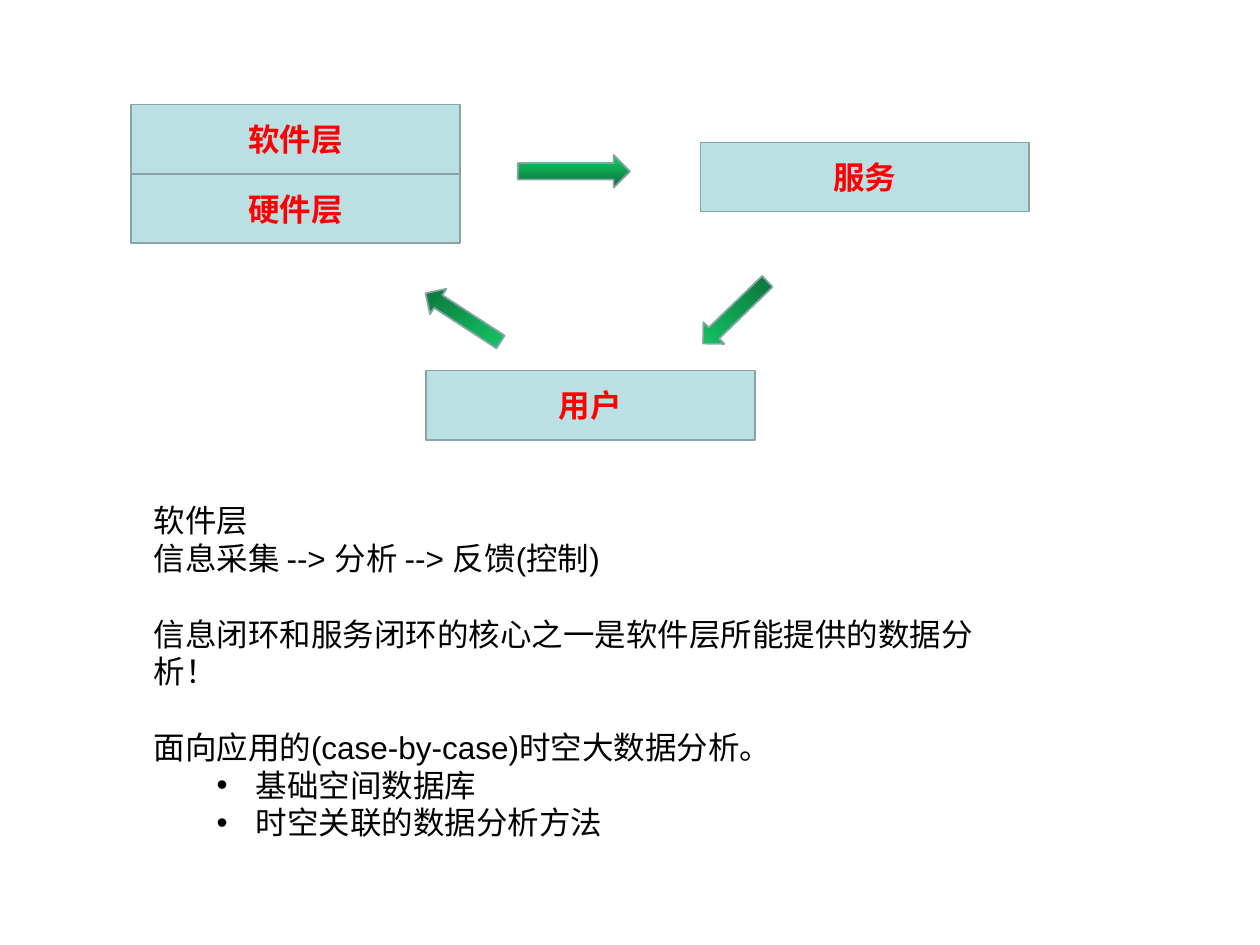
from dataclasses import dataclass

from lxml import etree
from pptx import Presentation
from pptx.dml.color import RGBColor
from pptx.enum.shapes import MSO_SHAPE
from pptx.enum.text import MSO_ANCHOR, MSO_AUTO_SIZE, PP_ALIGN
from pptx.oxml.ns import qn
from pptx.util import Inches, Pt

RECTANGLE = MSO_SHAPE.RECTANGLE
RIGHT_ARROW = MSO_SHAPE.RIGHT_ARROW
CENTER = PP_ALIGN.CENTER
LEFT = PP_ALIGN.LEFT
MIDDLE = MSO_ANCHOR.MIDDLE
TOP = MSO_ANCHOR.TOP
FIT_SHAPE = MSO_AUTO_SIZE.SHAPE_TO_FIT_TEXT
BLANK_LAYOUT = 6


@dataclass(frozen=True)
class Theme:
    font: str = "Arial"
    size: Pt = Pt(18)
    group_gap: Pt = Pt(21.5)
    line_width: Pt = Pt(1)
    box_fill: RGBColor = RGBColor(0xBB, 0xE0, 0xE3)
    outline: RGBColor = RGBColor(0x89, 0xA4, 0xA7)
    label: RGBColor = RGBColor(0xFF, 0x00, 0x00)
    body: RGBColor = RGBColor(0x00, 0x00, 0x00)
    arrow_light: RGBColor = RGBColor(0x14, 0xCD, 0x68)
    arrow_dark: RGBColor = RGBColor(0x0B, 0x6E, 0x38)


THEME = Theme()

BOX_WIDTH, BOX_HEIGHT = 2.61, 0.55
# Label, left and top within the loop diagram
LOOP_BOXES = [
    ("硬件层", 0, 0.55),
    ("软件层", 0, 0),
    ("用户", 2.34, 2.11),
    ("服务", 4.52, 0.3),
]
# Left, top, width, height, rotation and clockwise gradient direction
LOOP_ARROWS = [
    (3.07, 0.4, 0.89, 0.26, 0, 90),
    (4.44, 1.53, 0.71, 0.24, 136, 314),
    (2.28, 1.57, 0.71, 0.24, 213, 237),
]
# Each group holds its lines and its bulleted lines
NOTE_GROUPS = [
    (["软件层", "信息采集 --> 分析 --> 反馈(控制)"], []),
    (["信息闭环和服务闭环的核心之一是软件层所能提供的数据分析！"], []),
    (["面向应用的(case-by-case)时空大数据分析。"],
     ["基础空间数据库", "时空关联的数据分析方法"]),
]


def set_font(paragraph, color, bold=False):
    font = paragraph.font
    font.name = THEME.font
    font.size = THEME.size
    font.bold = bold
    font.color.rgb = color


def add_outlined(slide, preset, left, top, width, height):
    shape = slide.shapes.add_shape(
        preset, Inches(left), Inches(top), Inches(width), Inches(height))
    shape.shadow.inherit = False
    shape.line.color.rgb = THEME.outline
    shape.line.width = THEME.line_width
    return shape


def add_loop_box(slide, label, left, top):
    box = add_outlined(slide, RECTANGLE, left, top, BOX_WIDTH, BOX_HEIGHT)
    box.fill.solid()
    box.fill.fore_color.rgb = THEME.box_fill
    box.text_frame.vertical_anchor = MIDDLE
    paragraph = box.text_frame.paragraphs[0]
    paragraph.text = label
    paragraph.alignment = CENTER
    set_font(paragraph, THEME.label, bold=True)


def add_loop_arrow(slide, left, top, width, height, rotation, direction):
    arrow = add_outlined(slide, RIGHT_ARROW, left, top, width, height)
    arrow.rotation = rotation
    fill = arrow.fill
    fill.gradient()
    fill.gradient_angle = 360 - direction
    light, dark = fill.gradient_stops
    light.position, dark.position = 0, 1
    light.color.rgb = THEME.arrow_light
    dark.color.rgb = THEME.arrow_dark
    # The gradient direction is measured on the page, not along the arrow
    gradient = arrow.element.spPr.find(qn("a:gradFill"))
    gradient.set("rotWithShape", "0")


def add_service_loop(slide, left, top):
    for label, x, y in LOOP_BOXES:
        add_loop_box(slide, label, left + x, top + y)
    for x, y, *form in LOOP_ARROWS:
        add_loop_arrow(slide, left + x, top + y, *form)


def add_bullet(paragraph):
    paragraph.level = 1
    properties = paragraph._p.get_or_add_pPr()
    properties.set("marL", str(Inches(0.81)))
    properties.set("indent", str(Inches(-0.31)))
    color = etree.SubElement(properties, qn("a:buClr"))
    etree.SubElement(color, qn("a:srgbClr"), val=str(THEME.body))
    etree.SubElement(properties, qn("a:buFont"), typeface=THEME.font)
    etree.SubElement(properties, qn("a:buChar"), char="•")


def add_notes_text(slide, left, top, width, height):
    notes = slide.shapes.add_textbox(
        Inches(left), Inches(top), Inches(width), Inches(height))
    frame = notes.text_frame
    frame.word_wrap = True
    frame.auto_size = FIT_SHAPE
    frame.vertical_anchor = TOP
    paragraph = None
    for lines, bullets in NOTE_GROUPS:
        for index, line in enumerate(lines + bullets):
            first = paragraph is None
            paragraph = frame.paragraphs[0] if first else frame.add_paragraph()
            paragraph.text = line
            paragraph.alignment = LEFT
            # Closing punctuation stays inside the right margin
            paragraph._p.get_or_add_pPr().set("hangingPunct", "0")
            if index >= len(lines):
                add_bullet(paragraph)
            if index == 0 and not first:
                paragraph.space_before = THEME.group_gap
            set_font(paragraph, THEME.body)


def main():
    presentation = Presentation()
    presentation.slide_width = Inches(10)
    presentation.slide_height = Inches(7.5)
    slide = presentation.slides.add_slide(
        presentation.slide_layouts[BLANK_LAYOUT])

    # Loop of layers, service and user
    add_service_loop(slide, 1.04, 0.83)
    # Explanation below the loop
    add_notes_text(slide, 1.12, 3.93, 7.11, 2.5)

    presentation.save("out.pptx")


if __name__ == "__main__":
    main()
